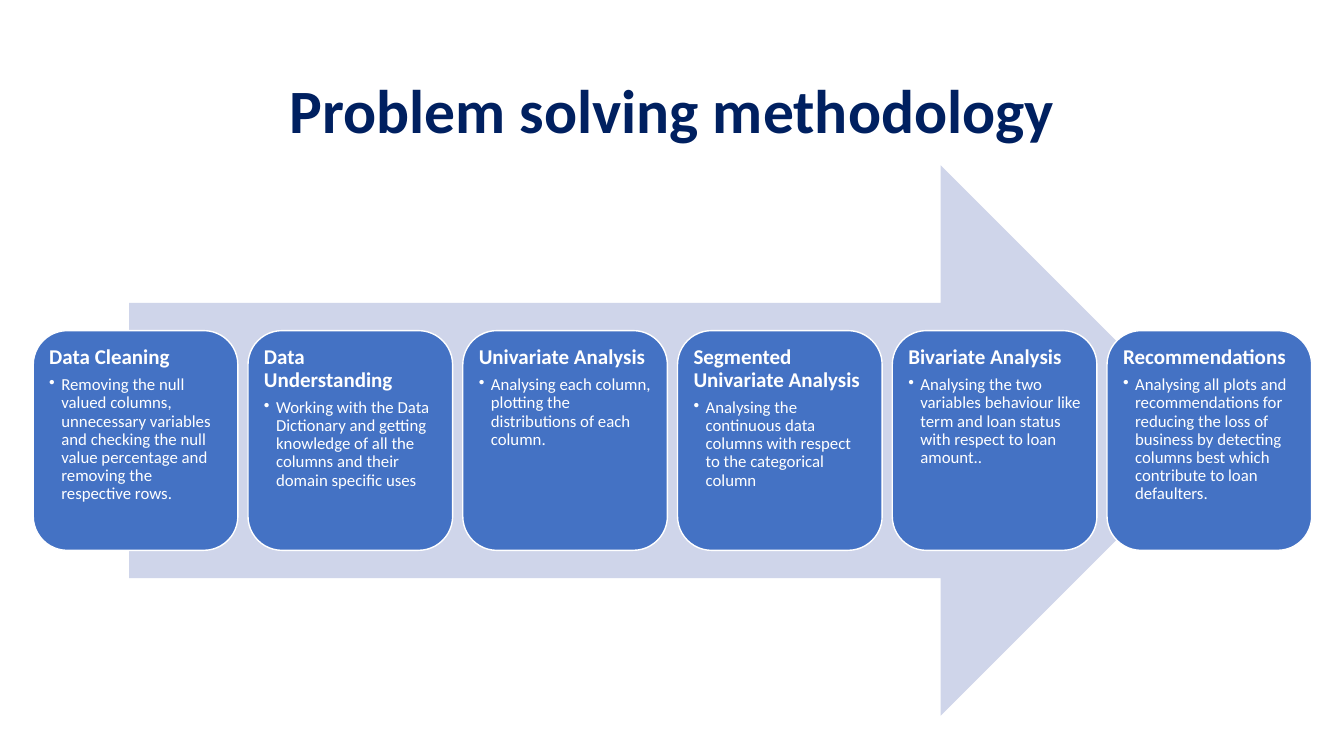
from lxml.etree import SubElement
from pptx import Presentation
from pptx.dml.color import RGBColor
from pptx.enum.shapes import MSO_SHAPE
from pptx.enum.text import MSO_ANCHOR, PP_ALIGN
from pptx.oxml.ns import qn
from pptx.util import Inches, Pt

TITLE = "Problem solving methodology"
STEPS = [
    ("Data Cleaning",
     "Removing the null valued columns, unnecessary variables and checking "
     "the null value percentage and removing the respective rows."),
    ("Data Understanding",
     "Working with the Data Dictionary and getting knowledge of all the "
     "columns and their domain specific uses"),
    ("Univariate Analysis",
     "Analysing each column, plotting the distributions of each column."),
    ("Segmented Univariate Analysis",
     "Analysing the continuous data columns with respect to the categorical column"),
    ("Bivariate Analysis",
     "Analysing the two variables behaviour like term and loan status "
     "with respect to loan amount.."),
    ("Recommendations",
     "Analysing all plots and recommendations for reducing the loss of business "
     "by detecting columns best which contribute to loan defaulters."),
]

THEME = {
    "font": "Calibri",
    "navy": RGBColor.from_string("002060"),
    "blue": RGBColor.from_string("4472C4"),
    "pale": RGBColor.from_string("CFD5EA"),
    "white": RGBColor.from_string("FFFFFF"),
    "title": Pt(44),
    "heading": Pt(15),
    "detail": Pt(12),
}
CARD_LEFT, CARD_TOP, CARD_WIDTH, CARD_HEIGHT, CARD_GAP = 0.33, 3.28, 2.03, 2.18, 0.1
CARD_INSET = Inches(0.06)
BULLET_INDENT = Inches(0.12)
CARD_FRAME = {
    "word_wrap": True,
    "vertical_anchor": MSO_ANCHOR.TOP,
    "margin_left": CARD_INSET,
    "margin_top": CARD_INSET,
    "margin_right": CARD_INSET,
    "margin_bottom": CARD_INSET,
}


def apply(target, values):
    for name, value in values.items():
        setattr(target, name, value)


def write(paragraph, text, role, color, bold=False, **layout):
    apply(paragraph, {"line_spacing": 0.9, **layout})
    run = paragraph.add_run()
    run.text = text
    apply(run.font, {"name": THEME["font"], "size": THEME[role], "bold": bold})
    run.font.color.rgb = THEME[color]


def add_bullet(paragraph):
    properties = paragraph._p.get_or_add_pPr()
    properties.set("marL", str(BULLET_INDENT))
    properties.set("indent", str(-BULLET_INDENT))
    SubElement(properties, qn("a:buChar")).set("char", "•")


def add_block(slide, preset, box, color):
    block = slide.shapes.add_shape(preset, *map(Inches, box))
    block.shadow.inherit = False
    block.fill.solid()
    block.fill.fore_color.rgb = THEME[color]
    block.line.fill.background()
    return block


def add_step(slide, index, heading, detail):
    left = CARD_LEFT + index * (CARD_WIDTH + CARD_GAP)
    card = add_block(slide, MSO_SHAPE.ROUNDED_RECTANGLE,
                     (left, CARD_TOP, CARD_WIDTH, CARD_HEIGHT), "blue")
    card.line.color.rgb = THEME["white"]
    card.line.width = Pt(1)
    frame = card.text_frame
    apply(frame, CARD_FRAME)
    write(frame.paragraphs[0], heading, "heading", "white", bold=True,
          alignment=PP_ALIGN.LEFT, space_after=Pt(5))
    body = frame.add_paragraph()
    write(body, detail, "detail", "white",
          alignment=PP_ALIGN.LEFT, space_after=Pt(2), level=1)
    add_bullet(body)


def main():
    deck = Presentation()
    apply(deck, {"slide_width": Inches(13.33), "slide_height": Inches(7.5)})
    slide = deck.slides.add_slide(deck.slide_layouts[6])

    title = slide.shapes.add_textbox(*map(Inches, (0.92, 0.4, 11.5, 1.45))).text_frame
    apply(title, {"word_wrap": True, "vertical_anchor": MSO_ANCHOR.MIDDLE})
    write(title.paragraphs[0], TITLE, "title", "navy", bold=True,
          alignment=PP_ALIGN.CENTER)

    add_block(slide, MSO_SHAPE.RIGHT_ARROW, (1.28, 1.64, 10.78, 5.46), "pale")
    for index, (heading, detail) in enumerate(STEPS):
        add_step(slide, index, heading, detail)
    deck.save("out.pptx")


if __name__ == "__main__":
    main()
